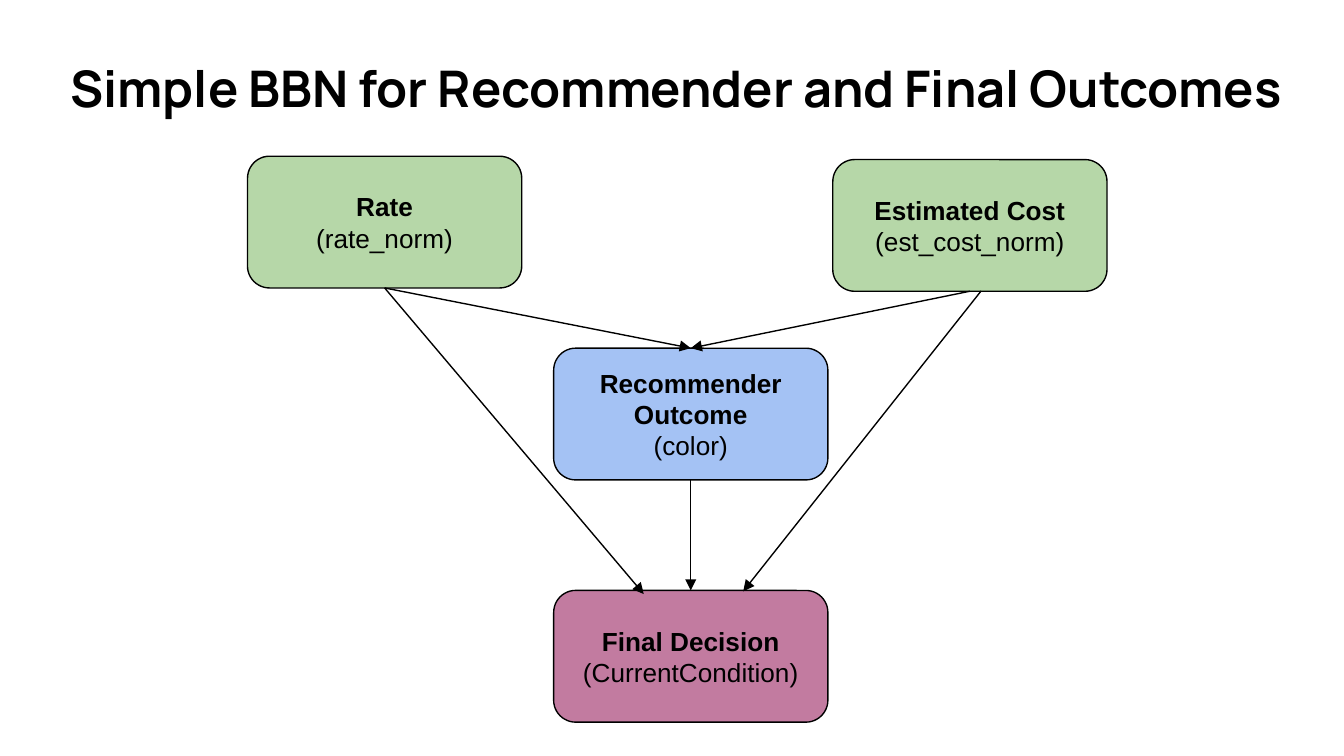
from dataclasses import dataclass
from typing import Optional

import pptx
import pptx.dml.color
import pptx.enum.shapes
import pptx.enum.text
import pptx.util
from lxml import etree
from pptx.oxml.ns import qn

W = pptx.util.Inches(10)
H = W * 9 // 16
NODE_W, NODE_H = 20.4, 17.42  # percent of the slide's width and height
TOP, BOTTOM = 0, 2  # connection sites of a rectangle
COLORS = {"ink": "000000", "input": "B6D7A8", "recommender": "A4C2F4", "final": "C27BA0"}
TITLE_FONT = {"name": "Manrope", "size": pptx.util.Pt(27), "bold": True}
NAME_FONT = {"name": "Arial", "size": pptx.util.Pt(14), "bold": True}
VARIABLE_FONT = {**NAME_FONT, "bold": False}
INSETS = {f"margin_{side}": pptx.util.Inches(0.1) for side in ("left", "top", "right", "bottom")}


@dataclass
class Node:
    """A variable of the network; left and top in percent of the slide."""
    name: str
    variable: str
    left: float
    top: float
    color: str


@dataclass
class Edge:
    """An arrow between nodes; a point in percent replaces a joined end."""
    source: str
    target: str
    start: Optional[tuple[float, float]] = None
    end: Optional[tuple[float, float]] = None


NODES = [
    Node("Rate", "(rate_norm)", 18.42, 20.67, "input"),
    Node("Estimated Cost", "(est_cost_norm)", 61.97, 21.11, "input"),
    Node("Recommender Outcome", "(color)", 41.2, 46.06, "recommender"),
    Node("Final Decision", "(CurrentCondition)", 41.2, 78.1, "final"),
]
EDGES = [
    Edge("Estimated Cost", "Recommender Outcome"),
    Edge("Recommender Outcome", "Final Decision"),
    Edge("Rate", "Recommender Outcome"),
    Edge("Estimated Cost", "Final Decision", start=(73, 38.49), end=(55.3, 78.22)),
    Edge("Rate", "Final Decision", end=(47.9, 78.58)),
]


def px(share: float) -> int:
    return round(W * share / 100)


def py(share: float) -> int:
    return round(H * share / 100)


def rgb(key: str) -> pptx.dml.color.RGBColor:
    return pptx.dml.color.RGBColor.from_string(COLORS[key])


def set_attrs(target, values: dict) -> None:
    for key, value in values.items():
        setattr(target, key, value)


def add_text(p, text: str, font: dict) -> None:
    r = p.add_run()
    r.text = text
    set_attrs(r.font, font)
    r.font.color.rgb = rgb("ink")


def style_line(line) -> None:
    line.color.rgb = rgb("ink")
    line.width = pptx.util.Pt(0.75)


def add_title(s, text: str) -> None:
    sp = s.shapes.add_textbox(px(4.25), py(5.75), px(94.4), py(12.44))
    set_attrs(sp.text_frame, {**INSETS, "word_wrap": True})
    add_text(sp.text_frame.paragraphs[0], text, TITLE_FONT)


def add_node(s, node: Node):
    sp = s.shapes.add_shape(pptx.enum.shapes.MSO_SHAPE.ROUNDED_RECTANGLE,
                            px(node.left), py(node.top), px(NODE_W), py(NODE_H))
    sp.shadow.inherit = False
    sp.fill.solid()
    sp.fill.fore_color.rgb = rgb(node.color)
    style_line(sp.line)
    tf = sp.text_frame
    set_attrs(tf, {**INSETS, "word_wrap": True,
                   "vertical_anchor": pptx.enum.text.MSO_ANCHOR.MIDDLE})
    add_text(tf.paragraphs[0], node.name, NAME_FONT)
    add_text(tf.add_paragraph(), node.variable, VARIABLE_FONT)
    for p in tf.paragraphs:
        p.alignment = pptx.enum.text.PP_ALIGN.CENTER
    return sp


def add_edge(s, edge: Edge, boxes: dict) -> None:
    x1, y1 = edge.start or (0, 0)
    x2, y2 = edge.end or (0, 0)
    line = s.shapes.add_connector(pptx.enum.shapes.MSO_CONNECTOR.STRAIGHT,
                                  px(x1), py(y1), px(x2), py(y2))
    if edge.start is None:
        line.begin_connect(boxes[edge.source], BOTTOM)
    if edge.end is None:
        line.end_connect(boxes[edge.target], TOP)
    style_line(line.line)
    properties = line._element.spPr
    etree.SubElement(properties.find(qn("a:ln")), qn("a:tailEnd"), type="triangle")
    etree.SubElement(properties, qn("a:effectLst"))


def main() -> None:
    prs = pptx.Presentation()
    set_attrs(prs, {"slide_width": W, "slide_height": H})
    s = prs.slides.add_slide(prs.slide_layouts[6])
    boxes = {node.name: add_node(s, node) for node in NODES}
    for edge in EDGES:
        add_edge(s, edge, boxes)
    add_title(s, "Simple BBN for Recommender and Final Outcomes")
    prs.save("out.pptx")


if __name__ == "__main__":
    main()
